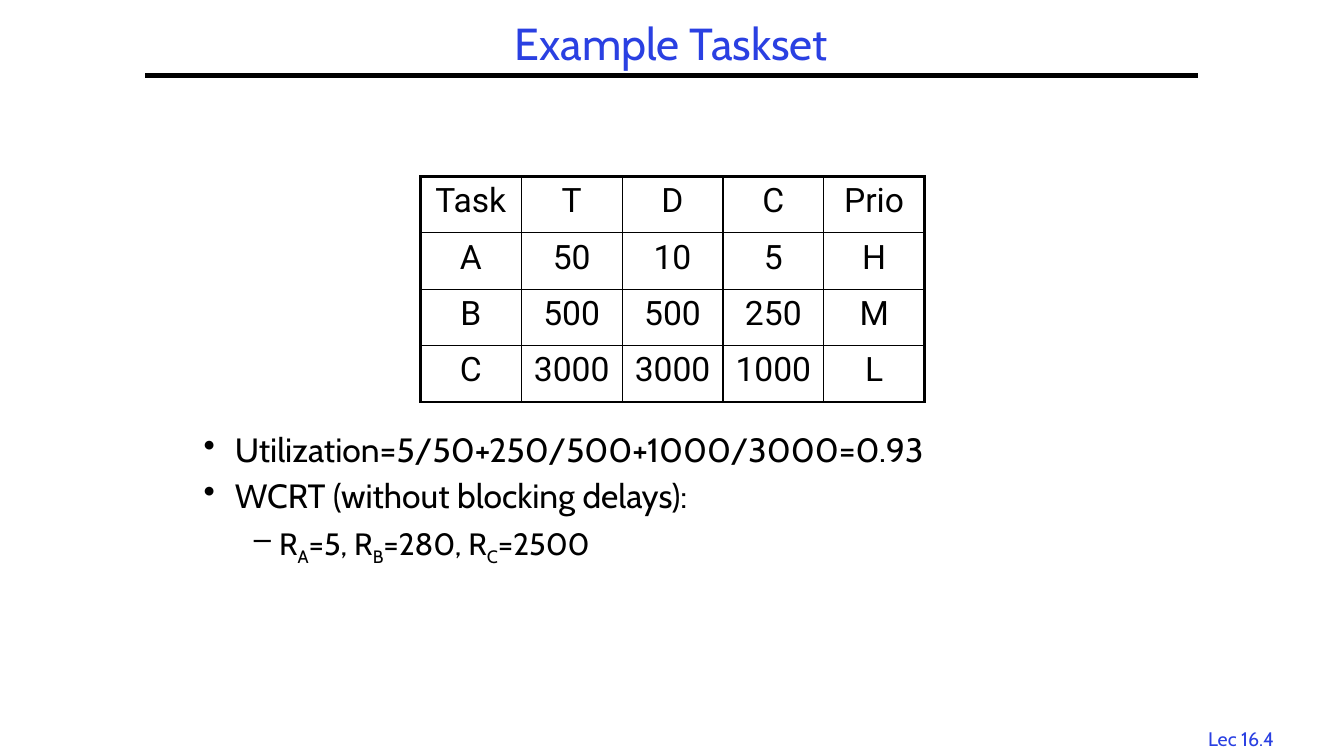
from lxml.etree import SubElement
from pptx import Presentation
from pptx.dml.color import RGBColor
from pptx.enum.text import MSO_ANCHOR, MSO_AUTO_SIZE, PP_ALIGN
from pptx.oxml import parse_xml
from pptx.oxml.ns import nsdecls, qn
from pptx.util import Inches, Pt

COLORS = {"accent": "2A40E2", "ink": "000000"}
BODY_FONT, TABLE_FONT = "Cabin", "Roboto"
THICK, THIN = 2.25, 1

TASKS = [
    ["Task", "T", "D", "C", "Prio"],
    ["A", "50", "10", "5", "H"],
    ["B", "500", "500", "250", "M"],
    ["C", "3000", "3000", "1000", "L"],
]

# Bullet, left margin, hanging indent, size, then pieces alternating normal / subscript
FINDINGS = [
    ("•", 0.31, 0.31, 24, ["Utilization=5/50+250/500+1000/3000=0.93"]),
    ("•", 0.31, 0.31, 24, ["WCRT (without blocking delays):"]),
    ("–", 0.75, 0.25, 22, ["R", "A", "=5, R", "B", "=280, R", "C", "=2500"]),
]


def set_font(paragraph, name, size, color):
    font = paragraph.font
    font.name, font.size = name, Pt(size)
    font.color.rgb = RGBColor.from_string(COLORS[color])


def add_heading(slide, left, top, width, height):
    """Title with a rule along the bottom of its box."""
    title = slide.shapes.title
    title.left, title.top = Inches(left), Inches(top)
    title.width, title.height = Inches(width), Inches(height)
    frame = title.text_frame
    frame.text = "Example Taskset"
    frame.auto_size = MSO_AUTO_SIZE.NONE
    frame.vertical_anchor = MSO_ANCHOR.MIDDLE
    heading = frame.paragraphs[0]
    heading.alignment = PP_ALIGN.CENTER
    heading.line_spacing = 0.9
    set_font(heading, BODY_FONT, 32, "accent")

    bottom = Inches(top + height)
    rule = slide.shapes.add_connector(
        1, Inches(left), bottom, Inches(left + width), bottom)
    rule.line.color.rgb = RGBColor.from_string(COLORS["ink"])
    rule.line.width = Pt(3)
    SubElement(rule._element.spPr, qn("a:effectLst"))


def set_borders(cell, widths):
    """Draw the cell's left, right, top and bottom borders in that order."""
    properties = cell._tc.get_or_add_tcPr()
    for position, (side, width) in enumerate(zip("LRTB", widths)):
        properties.insert(position, parse_xml(
            f'<a:ln{side} {nsdecls("a")} w="{Pt(width)}"><a:solidFill>'
            f'<a:srgbClr val="{COLORS["ink"]}"/></a:solidFill></a:ln{side}>'))


def add_task_table(slide, left, top, width, height):
    """Grid of tasks with a heavier outer frame."""
    row_count, column_count = len(TASKS), len(TASKS[0])
    tasks = slide.shapes.add_table(
        row_count, column_count, Inches(left), Inches(top),
        Inches(width), Inches(height)).table
    tasks.first_row = tasks.horz_banding = False
    for row, values in enumerate(TASKS):
        for column, value in enumerate(values):
            cell = tasks.cell(row, column)
            cell.text = value
            cell.fill.background()
            entry = cell.text_frame.paragraphs[0]
            entry.alignment = PP_ALIGN.CENTER
            set_font(entry, TABLE_FONT, 24, "ink")
            on_frame = (column == 0, column == column_count - 1,
                        row == 0, row == row_count - 1)
            set_borders(cell, [THICK if outer else THIN for outer in on_frame])


def add_findings(slide, left, top, width, height):
    """Bulleted utilization and response times."""
    frame = slide.shapes.add_textbox(
        Inches(left), Inches(top), Inches(width), Inches(height)).text_frame
    frame.word_wrap = True
    for index, (bullet, margin, hanging, size, pieces) in enumerate(FINDINGS):
        finding = frame.add_paragraph() if index else frame.paragraphs[0]
        finding.level = int(bullet == "–")
        finding.line_spacing = 0.9
        finding.space_after = Pt(7)
        properties = finding._p.get_or_add_pPr()
        properties.set("marL", str(Inches(margin)))
        properties.set("indent", str(-Inches(hanging)))
        SubElement(properties, qn("a:buChar"), char=bullet)
        set_font(finding, BODY_FONT, size, "ink")
        for position, piece in enumerate(pieces):
            run = finding.add_run()
            run.text = piece
            if position % 2:
                run._r.get_or_add_rPr().set("baseline", "-25000")


def add_lecture_number(slide, left, top, width, height):
    frame = slide.shapes.add_textbox(
        Inches(left), Inches(top), Inches(width), Inches(height)).text_frame
    frame.word_wrap = False
    lecture = frame.paragraphs[0]
    lecture.text = "Lec 16.4"
    lecture.alignment = PP_ALIGN.CENTER
    set_font(lecture, BODY_FONT, 14, "accent")


def main():
    presentation = Presentation()
    presentation.slide_width = Inches(13.33)
    presentation.slide_height = Inches(7.5)
    slide = presentation.slides.add_slide(presentation.slide_layouts[5])
    add_lecture_number(slide, 11.77, 7.16, 1.08, 0.33)
    add_heading(slide, 1.44, 0.17, 10.44, 0.58)
    add_findings(slide, 1.92, 4.25, 9.58, 2.92)
    add_task_table(slide, 4.17, 1.75, 5, 2.24)
    presentation.save("out.pptx")


if __name__ == "__main__":
    main()
